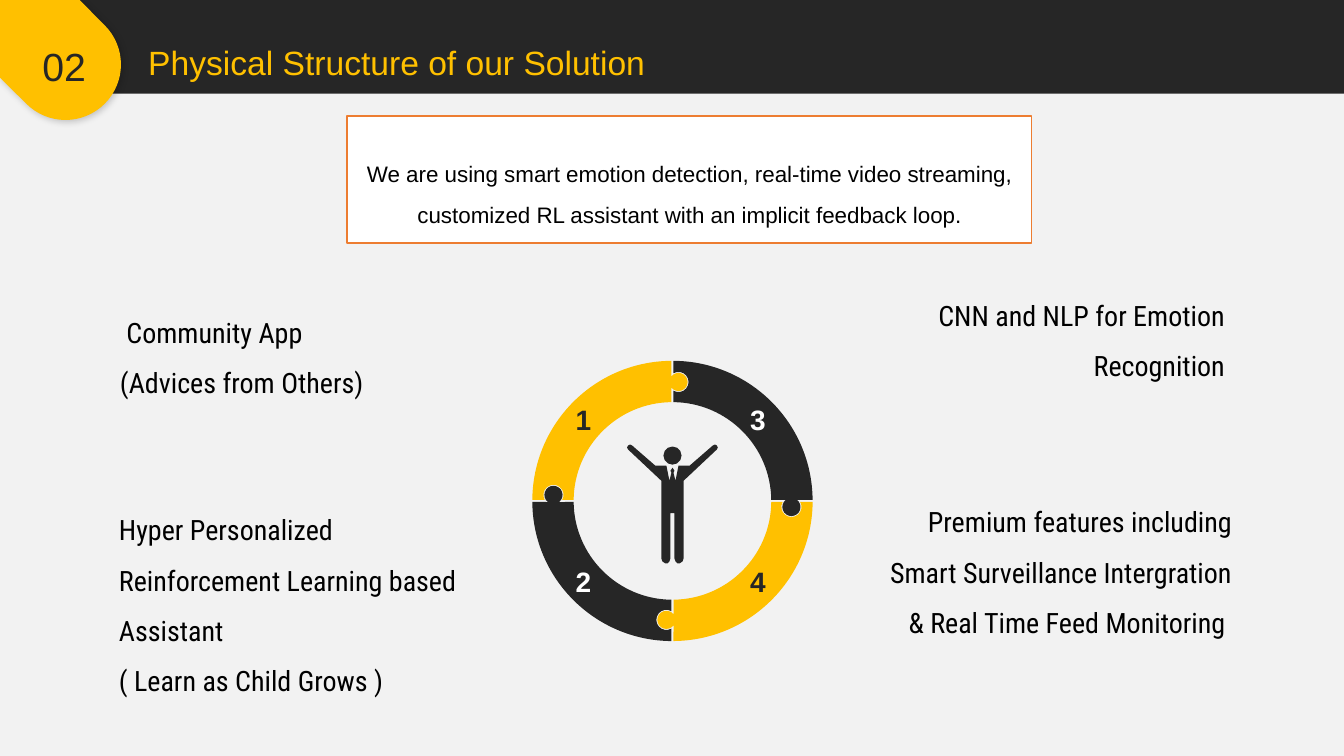
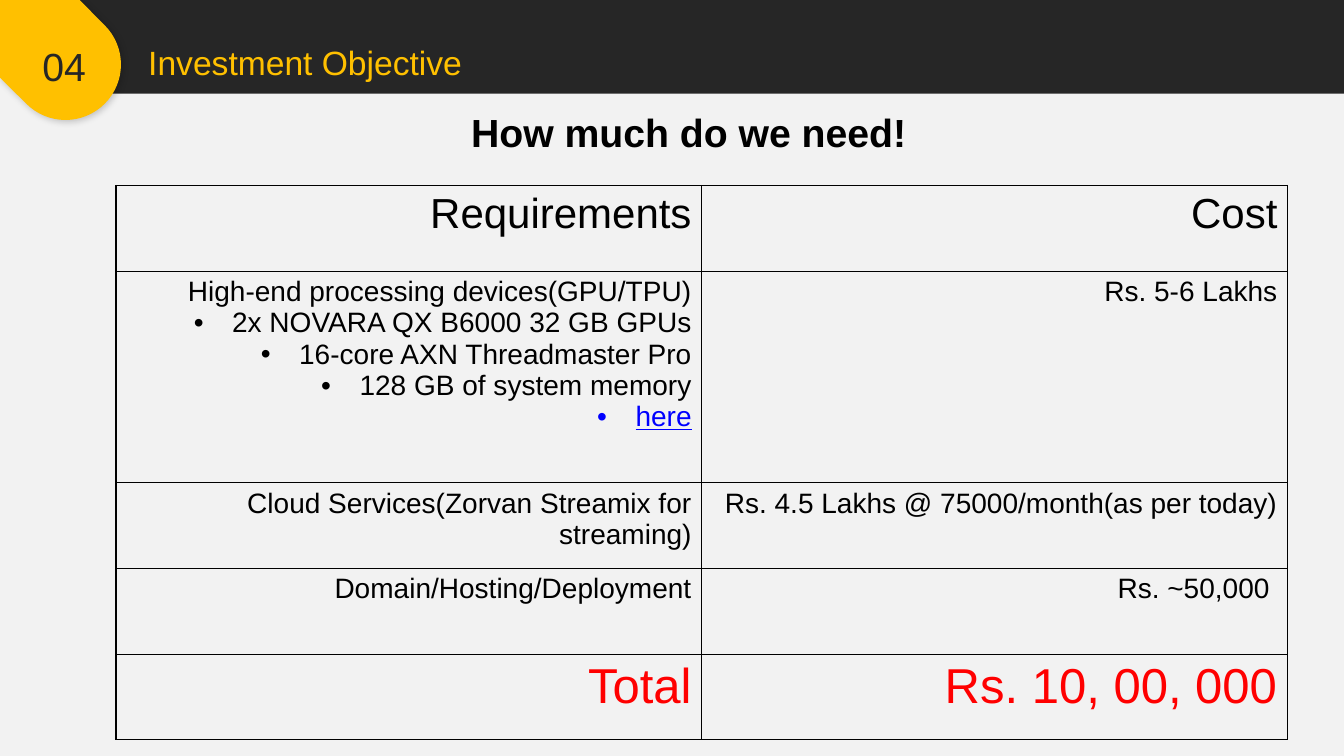
"""Build two slides: the physical structure of a solution and its investment table."""
import math

import lxml.etree
import pptx
import pptx.dml.color
import pptx.enum.shapes
import pptx.enum.text
import pptx.oxml.ns
import pptx.util

DARK = pptx.dml.color.RGBColor(0x26, 0x26, 0x26)
YELLOW = pptx.dml.color.RGBColor(0xFF, 0xC0, 0x00)
PALE = pptx.dml.color.RGBColor(0xF2, 0xF2, 0xF2)
WHITE = pptx.dml.color.RGBColor(0xFF, 0xFF, 0xFF)
BLACK = pptx.dml.color.RGBColor(0x00, 0x00, 0x00)
ORANGE = pptx.dml.color.RGBColor(0xED, 0x7D, 0x31)
RED = pptx.dml.color.RGBColor(0xFF, 0x00, 0x00)
BLUE = pptx.dml.color.RGBColor(0x00, 0x00, 0xFF)

LEFT = pptx.enum.text.PP_ALIGN.LEFT
CENTER = pptx.enum.text.PP_ALIGN.CENTER
RIGHT = pptx.enum.text.PP_ALIGN.RIGHT
RECTANGLE = pptx.enum.shapes.MSO_SHAPE.RECTANGLE
OVAL = pptx.enum.shapes.MSO_SHAPE.OVAL

WIDTH, HEIGHT = 13.33, 7.5
BAND_HEIGHT = 0.93
BADGE_CORNER = 1.35

TITLE = {"size": 24, "color": YELLOW}
NUMBER = {"size": 28, "color": DARK}
HEADING = {"size": 28, "bold": True}
STATEMENT = {"size": 16}
FEATURE = {"size": 20, "name": "Roboto Condensed"}
HEADER_CELL = {"size": 30}
BODY_CELL = {"size": 20}
LINK_CELL = {"size": 20, "color": BLUE, "underline": True}
TOTAL_CELL = {"size": 35, "color": RED}

FEATURES = [
    ((1.19, 2.96, 2.75, 0.83), LEFT, [" Community App (Advices from Others)"]),
    ((1.18, 4.92, 3.57, 2.33), LEFT,
     ["Hyper Personalized Reinforcement Learning based Assistant", "( Learn as Child Grows )"]),
    ((9.23, 2.79, 2.92, 1), RIGHT, ["CNN and NLP for Emotion Recognition"]),
    ((8.65, 4.84, 3.57, 1.83), RIGHT,
     ["Premium features including Smart Surveillance Intergration & Real Time Feed Monitoring "]),
]
STATEMENT_TEXT = ("We are using smart emotion detection, real-time video streaming, "
                  "customized RL assistant with an implicit feedback loop.")

RING_CENTER = (6.67, 4.97)
QUARTERS = [
    ("3", DARK, WHITE, 7.39, 3.94),
    ("4", YELLOW, DARK, 7.39, 5.55),
    ("2", DARK, WHITE, 5.66, 5.55),
    ("1", YELLOW, DARK, 5.66, 3.94),
]
HALF_PERSON = [
    (0, 4.64), (0.02, 4.67), (0.01, 4.69), (0.03, 4.77), (0.06, 4.62), (0.17, 4.62),
    (0.4, 4.42), (0.42, 4.41), (0.44, 4.42), (0.45, 4.44), (0.44, 4.46), (0.11, 4.77),
    (0.11, 5.54), (0.1, 5.57), (0.07, 5.59), (0.05, 5.59), (0.03, 5.57), (0.02, 5.54), (0.02, 5.09),
]

COLUMN_WIDTH = 5.81
REQUIREMENTS = [
    (0.85, HEADER_CELL, ["Requirements"], "Cost"),
    (2.1, BODY_CELL, ["High-end processing devices(GPU/TPU)", "2x NOVARA QX B6000 32 GB GPUs",
                      "16-core AXN Threadmaster Pro", "128 GB of system memory", "here"], "Rs. 5-6 Lakhs"),
    (0.85, BODY_CELL, ["Cloud Services(Zorvan Streamix for streaming)"],
     "Rs. 4.5 Lakhs @ 75000/month(as per today)"),
    (0.85, BODY_CELL, ["Domain/Hosting/Deployment"], "Rs. ~50,000 "),
    (0.85, TOTAL_CELL, ["Total"], "Rs. 10, 00, 000"),
]


def inches(*values):
    return [pptx.util.Inches(value) for value in values]


def add_element(parent, tag, **attributes):
    return lxml.etree.SubElement(parent, pptx.oxml.ns.qn(tag), attributes)


def write_paragraph(paragraph, text, style, align=LEFT, spacing=1.0):
    for name, value in {"alignment": align, "line_spacing": spacing}.items():
        setattr(paragraph, name, value)
    run = paragraph.add_run()
    run.text = text
    values = {"name": "Arial", "bold": False, **style, "size": pptx.util.Pt(style["size"])}
    run.font.color.rgb = values.pop("color", BLACK)
    for name, value in values.items():
        setattr(run.font, name, value)


def add_text(slide, box, lines, style, align=LEFT, spacing=1.0, inset=0.05, wrap=True):
    frame = slide.shapes.add_textbox(*inches(*box)).text_frame
    frame.word_wrap = wrap
    for side in ("left", "top", "right", "bottom"):
        setattr(frame, f"margin_{side}", pptx.util.Inches(inset))
    for index, line in enumerate(lines):
        paragraph = frame.add_paragraph() if index else frame.paragraphs[0]
        write_paragraph(paragraph, line, style, align, spacing)


def paint(shape, fill, line=None):
    shape.shadow.inherit = False
    shape.fill.solid()
    shape.fill.fore_color.rgb = fill
    if line is None:
        shape.line.fill.background()
    else:
        shape.line.color.rgb = line
        shape.line.width = pptx.util.Pt(1)
    return shape


def add_preset(slide, kind, box, fill, line=None):
    return paint(slide.shapes.add_shape(kind, *inches(*box)), fill, line)


def straight(*points):
    return [[point] for point in points]


def arc(center_x, center_y, radius, start, end, parts=1):
    """Return a line to the start of the arc and one Bezier curve for each part."""
    step = math.radians(end - start) / parts
    handle = 4 / 3 * math.tan(step / 4)

    def place(angle, pull):
        return (center_x + radius * (math.cos(angle) - pull * math.sin(angle)),
                center_y + radius * (math.sin(angle) + pull * math.cos(angle)))

    angles = [math.radians(start) + step * index for index in range(parts + 1)]
    curves = [[place(first, handle), place(last, -handle), place(last, 0)]
              for first, last in zip(angles, angles[1:])]
    return straight(place(angles[0], 0)) + curves


def add_outline(slide, segments, fill):
    first, *others = [inches(*point) for segment in segments for point in segment]
    builder = slide.shapes.build_freeform(*first)
    builder.add_line_segments(others, close=True)
    shape = builder.convert_to_shape()
    lines = iter(list(shape.element.iter(pptx.oxml.ns.qn("a:lnTo"))))
    for segment in segments[1:]:
        parts = [next(lines) for _ in segment]
        if len(parts) == 3:
            curve = lxml.etree.Element(pptx.oxml.ns.qn("a:cubicBezTo"))
            parts[0].addprevious(curve)
            for part in parts:
                curve.append(part[0])
                part.getparent().remove(part)
    return paint(shape, fill)


def quarter_outline(turns):
    segments = (arc(0.06, -1.18, 0.1, -120, 120, 3) + arc(0, 0, 0.98, -89.4, -0.6)
                + arc(1.18, 0.06, 0.09, -128, -412, 4) + arc(0, 0, 1.39, -0.4, -89.6))
    for _ in range(turns):
        segments = [[(-y, x) for x, y in segment] for segment in segments]
    return [[(RING_CENTER[0] + x, RING_CENTER[1] + y) for x, y in segment] for segment in segments]


def add_slide(presentation, number, title):
    slide = presentation.slides.add_slide(presentation.slide_layouts[6])
    slide.background.fill.solid()
    slide.background.fill.fore_color.rgb = PALE
    add_preset(slide, RECTANGLE, (0, 0, WIDTH, BAND_HEIGHT), DARK)
    add_outline(slide, straight((0, 0), (0, BADGE_CORNER), (BADGE_CORNER, BADGE_CORNER)), PALE)
    badge = add_outline(slide, straight((0, 0), (0.79, 0)) + arc(0.65, 0.64, 0.55, -45, 135, 4)
                        + straight((0, 0.77)), YELLOW)
    effects = badge.element.spPr.find(pptx.oxml.ns.qn("a:effectLst"))
    shadow = add_element(effects, "a:outerShdw", blurRad=str(pptx.util.Pt(5)),
                         dist=str(pptx.util.Pt(2)), dir="2700000", algn="tl", rotWithShape="0")
    add_element(add_element(shadow, "a:srgbClr", val=str(BLACK)), "a:alpha", val="20000")
    add_text(slide, (0.29, 0.37, 0.69, 0.53), [number], NUMBER, CENTER)
    add_text(slide, (1.42, 0.37, 7.91, 0.48), [title], TITLE)
    return slide


def add_structure(slide):
    for turns, (label, fill, color, left, top) in enumerate(QUARTERS):
        add_outline(slide, quarter_outline(turns), fill)
        add_text(slide, (left, top, 0.27, 0.41), [label],
                 {"size": 20, "bold": True, "color": color}, wrap=False)
    middle = RING_CENTER[0]
    add_preset(slide, OVAL, (middle - 0.09, 4.43, 0.18, 0.18), DARK)
    person = [(middle + x, y) for x, y in HALF_PERSON]
    person += [(middle - x, y) for x, y in reversed(HALF_PERSON[1:])]
    add_outline(slide, straight(*person), DARK)
    for box, align, lines in FEATURES:
        add_text(slide, box, lines, FEATURE, align, 1.5, 0)
    add_preset(slide, RECTANGLE, (3.44, 1.15, 6.79, 1.26), WHITE, ORANGE)
    add_text(slide, (3.5, 1.41, 6.68, 0.71), [STATEMENT_TEXT], STATEMENT, CENTER, 1.5)


def fill_cell(cell, lines, style):
    properties = cell._tc.get_or_add_tcPr()
    for side in "LRTB":
        border = add_element(properties, f"a:ln{side}", w=str(pptx.util.Pt(1)))
        add_element(add_element(border, "a:solidFill"), "a:srgbClr", val=str(BLACK))
    cell.fill.background()
    for index, line in enumerate(lines):
        paragraph = cell.text_frame.add_paragraph() if index else cell.text_frame.paragraphs[0]
        write_paragraph(paragraph, line, LINK_CELL if line == "here" else style, RIGHT)
        if index:
            indent = pptx.util.Inches(0.38)
            bullet = paragraph._p.get_or_add_pPr()
            bullet.set("marL", str(indent))
            bullet.set("indent", str(-indent))
            add_element(bullet, "a:buFont", typeface="Arial")
            add_element(bullet, "a:buChar", char="•")


def add_investment(slide):
    add_text(slide, (2.07, 1.08, 9.52, 0.73), ["How much do we need!"], HEADING, CENTER, 0.9)
    total_height = sum(row[0] for row in REQUIREMENTS)
    box = inches(1.15, 1.84, 2 * COLUMN_WIDTH, total_height)
    table = slide.shapes.add_table(len(REQUIREMENTS), 2, *box).table
    for name in ("first_row", "horz_banding"):
        setattr(table, name, False)
    for index, (height, style, requirement, cost) in enumerate(REQUIREMENTS):
        table.rows[index].height = pptx.util.Inches(height)
        fill_cell(table.cell(index, 0), requirement, style)
        fill_cell(table.cell(index, 1), [cost], style)


def main():
    presentation = pptx.Presentation()
    presentation.slide_width, presentation.slide_height = inches(WIDTH, HEIGHT)
    add_structure(add_slide(presentation, "02", "Physical Structure of our Solution"))
    add_investment(add_slide(presentation, "04", "Investment Objective"))
    presentation.save("out.pptx")


if __name__ == "__main__":
    main()
